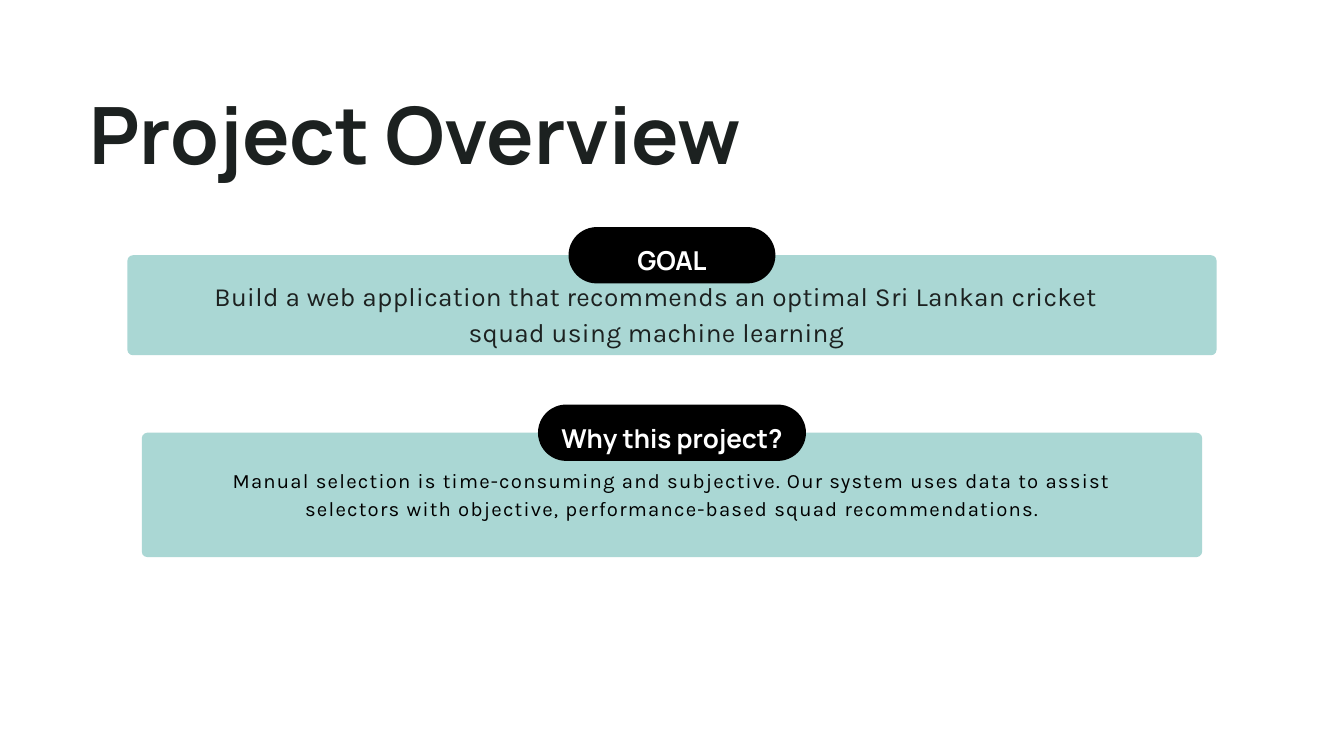
from pptx import Presentation
from pptx.dml.color import RGBColor
from pptx.enum import shapes, text
from pptx.util import Cm, Pt

HUES = {"panel": "AAD7D4", "pill": "000000", "ink": "1C2120",
        "black": "000000", "white": "FFFFFF"}
WIDE, HIGH = 50.8, 28.58
PILL = 2.13  # pill height
CURVE = 0.21  # panel corner radius


def write(shape, words, font, size, line, hue, bold=False, track=0, align="CENTER", top=0):
    frame = shape.text_frame
    frame.word_wrap = True
    frame.auto_size = text.MSO_AUTO_SIZE.NONE
    frame.vertical_anchor = text.MSO_ANCHOR.TOP
    frame.margin_left = frame.margin_right = frame.margin_bottom = 0
    frame.margin_top = Cm(top)
    para = frame.paragraphs[0]
    run = para.add_run()
    run.text = words
    if track:
        run.font._element.set("spc", str(track))
    para.alignment = getattr(text.PP_ALIGN, align)
    para.line_spacing = Pt(line)
    para.space_before = Pt(0)
    para.font.name = font
    para.font.size = Pt(size)
    para.font.bold = bold
    para.font.color.rgb = RGBColor.from_string(HUES[hue])


def block(top, width, height, radius, hue):
    """Add a rounded block centred across the slide."""
    shape = slide.shapes.add_shape(
        shapes.MSO_SHAPE.ROUNDED_RECTANGLE,
        Cm((WIDE - width) / 2), Cm(top), Cm(width), Cm(height))
    shape.adjustments[0] = radius / height
    shape.fill.solid()
    shape.fill.fore_color.rgb = RGBColor.from_string(HUES[hue])
    shape.line.fill.background()
    shape.shadow.inherit = False
    return shape


deck = Presentation()
deck.slide_width, deck.slide_height = Cm(WIDE), Cm(HIGH)
slide = deck.slides.add_slide(deck.slide_layouts[5])

# Title
title = slide.shapes.title
title.left, title.top, title.width, title.height = Cm(3.38), Cm(3.4), Cm(28.47), Cm(3.68)
write(title, "Project Overview", "Manrope", 84.7, 96.6, "ink", bold=True, align="LEFT")

# Sections: label, pill width, panel (top, width, height), body box, body style
sections = [
    ("GOAL", 7.82, (9.65, 41.17, 3.78), (6.78, 10.46, 36.07, 2.59),
     "Build a web application that recommends an optimal Sri Lankan cricket "
     "squad using machine learning",
     dict(size=28.1, line=38, hue="ink", track=40)),
    ("Why this project?", 10.13, (16.36, 40.08, 4.7), (8.64, 17.6, 33.53, 3.05),
     "Manual selection is time-consuming and subjective. Our system uses data to assist "
     "selectors with objective, performance-based squad recommendations.",
     dict(size=21.8, line=29.5, hue="black", track=130)),
]
for label, width, panel, box, body, style in sections:
    block(*panel, CURVE, "panel")

    # Pill straddles the panel's top edge
    pill = block(panel[0] - PILL / 2, width, PILL, PILL / 2, "pill")
    write(pill, label, "Manrope", 27.9, 30.1, "white", bold=True, top=0.48)

    area = slide.shapes.add_textbox(*map(Cm, box))
    write(area, body, "Karla", **style)

deck.save("out.pptx")
